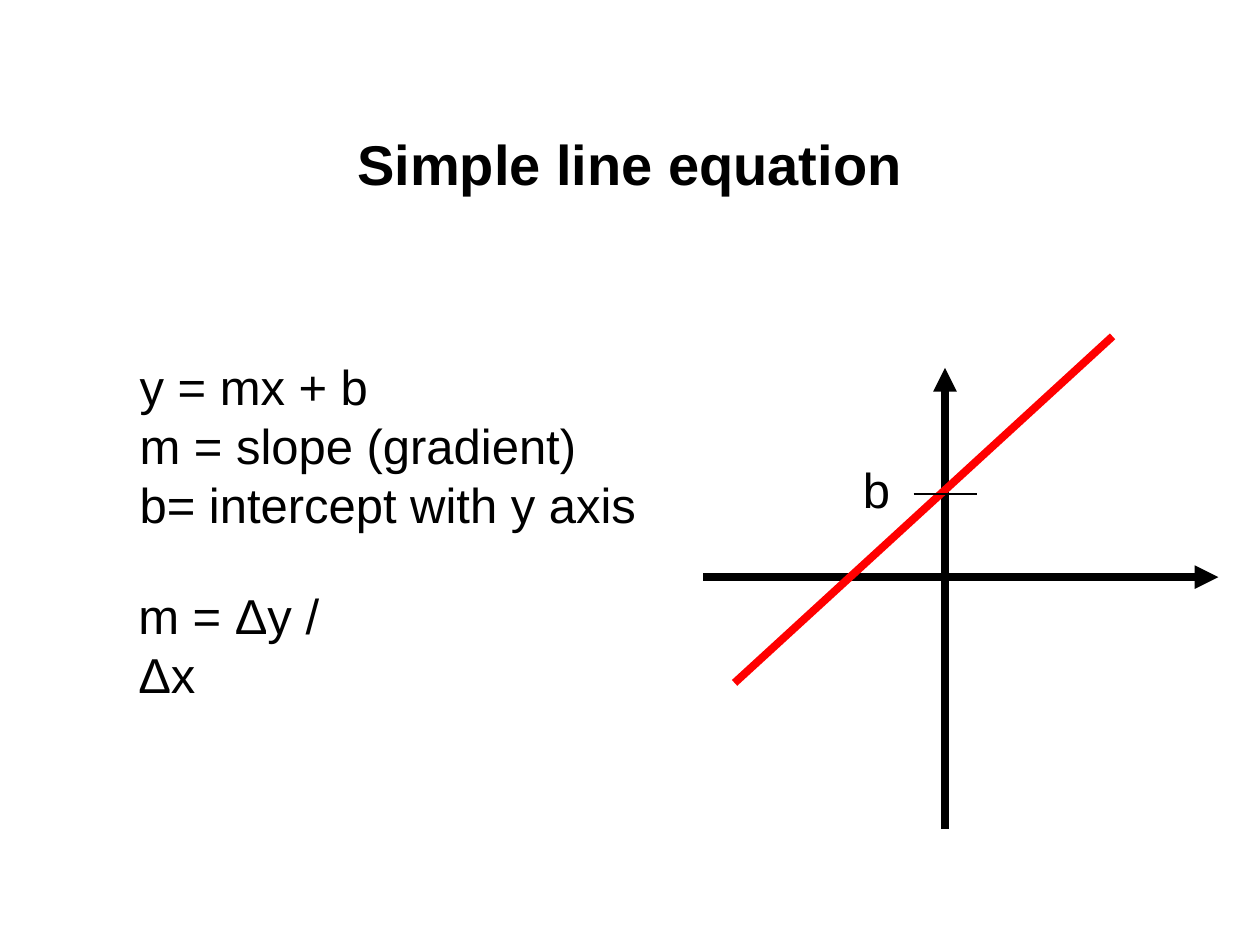
from lxml.etree import SubElement
from pptx import Presentation
from pptx.dml.color import RGBColor
from pptx.enum.shapes import MSO_CONNECTOR
from pptx.enum.text import MSO_ANCHOR, PP_ALIGN
from pptx.oxml.ns import qn
from pptx.util import Inches, Pt

BLACK = RGBColor(0, 0, 0)
RED = RGBColor(255, 0, 0)

presentation = Presentation()
presentation.slide_width = Inches(10)
presentation.slide_height = Inches(7.5)
slide = presentation.slides.add_slide(presentation.slide_layouts[6])


def add_text(left, top, width, height, lines, size=28, bold=False, wrap=False):
    text_box = slide.shapes.add_textbox(
        Inches(left), Inches(top), Inches(width), Inches(height))
    frame = text_box.text_frame
    frame.word_wrap = wrap
    for index, line in enumerate(lines):
        paragraph = frame.add_paragraph() if index else frame.paragraphs[0]
        run = paragraph.add_run()
        run.text = line
        run.font.name = "Arial"
        run.font.size = Pt(size)
        run.font.bold = bold
        run.font.color.rgb = BLACK
    return frame


def add_line(start_x, start_y, end_x, end_y, color=BLACK, width=4.5, arrow=False):
    connector = slide.shapes.add_connector(
        MSO_CONNECTOR.STRAIGHT, Inches(start_x), Inches(start_y),
        Inches(end_x), Inches(end_y))
    connector.line.color.rgb = color
    connector.line.width = Pt(width)
    if arrow:
        SubElement(connector.line._get_or_add_ln(), qn("a:tailEnd"), type="triangle")
    SubElement(connector._element.spPr, qn("a:effectLst"))


# Title
title = add_text(0.75, 0.67, 8.5, 1.25, ["Simple line equation"],
                 size=32, bold=True, wrap=True)
title.vertical_anchor = MSO_ANCHOR.MIDDLE
title.paragraphs[0].alignment = PP_ALIGN.CENTER
title.paragraphs[0].space_before = Pt(12)
title.paragraphs[0].space_after = Pt(6)

# Equation and slope formula
add_text(1.01, 2.78, 4.14, 1.5,
         ["y = mx + b", "m = slope (gradient)", "b= intercept with y axis"])
add_text(1, 4.6, 2.1, 0.57, ["m = Δy / Δx"], wrap=True)

# Axes
add_line(7.5, 6.58, 7.5, 2.92, arrow=True)
add_line(5.58, 4.58, 9.67, 4.58, arrow=True)

# Sloped line
add_line(5.83, 5.42, 8.83, 2.67, color=RED)

# Intercept label and tick
add_text(6.75, 3.6, 0.41, 0.57, ["b"])
add_line(7.25, 3.92, 7.75, 3.92, width=0.75)

presentation.save("out.pptx")
